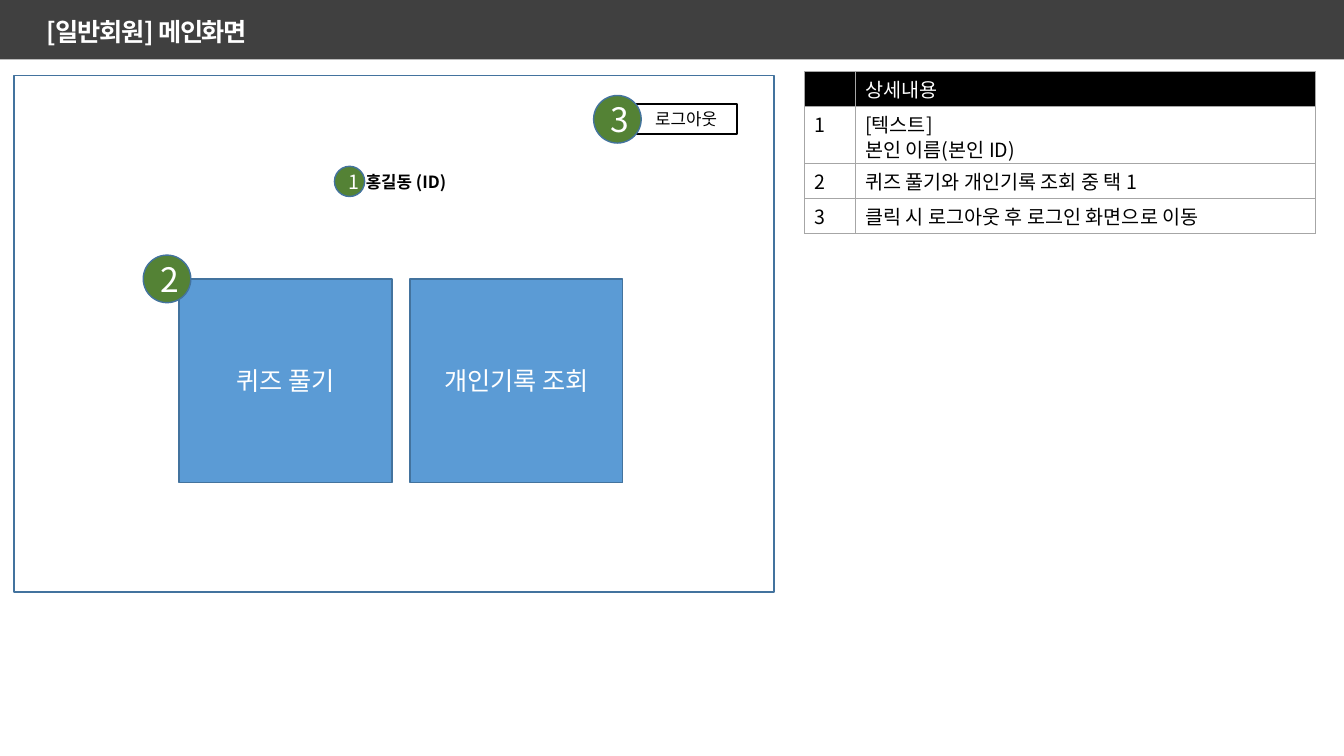
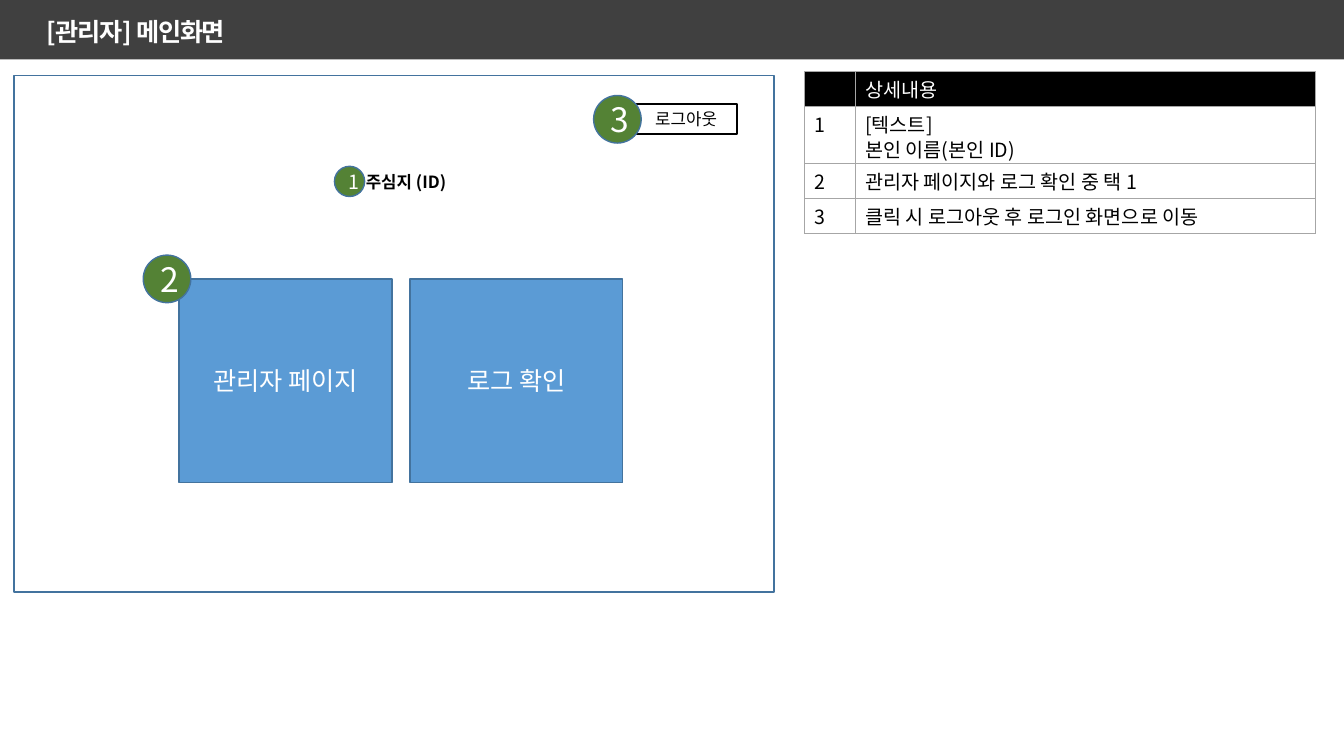
from lxml import etree
from pptx import Presentation
from pptx.dml.color import RGBColor
from pptx.enum.shapes import MSO_SHAPE
from pptx.enum.text import MSO_ANCHOR, MSO_AUTO_SIZE, PP_ALIGN
from pptx.oxml.ns import qn
from pptx.util import Pt

RECTANGLE, ELLIPSE = MSO_SHAPE.RECTANGLE, MSO_SHAPE.OVAL
LEFT, CENTER = PP_ALIGN.LEFT, PP_ALIGN.CENTER
TOP, MIDDLE = MSO_ANCHOR.TOP, MSO_ANCHOR.MIDDLE
NO_AUTOFIT = MSO_AUTO_SIZE.NONE

FONT = "Noto Sans CJK KR"
WHITE, BLACK, BAND = "FFFFFF", "000000", "404040"
BLUE, GREEN, OUTLINE, GRID = "5B9BD5", "548235", "43739E", "A6A6A6"

SCREENS = [
    {
        "title": "[일반회원] 메인화면",
        "user": "홍길동 (ID)",
        "menu": ["퀴즈 풀기", "개인기록 조회"],
        "choice": "퀴즈 풀기와 개인기록 조회 중 택 1",
    },
    {
        "title": "[관리자] 메인화면",
        "user": "주심지 (ID)",
        "menu": ["관리자 페이지", "로그 확인"],
        "choice": "관리자 페이지와 로그 확인 중 택 1",
    },
]
DETAIL_HEADING = "상세내용"
USER_DETAIL = ["[텍스트]", "본인 이름(본인 ID)"]
LOGOUT_DETAIL = "클릭 시 로그아웃 후 로그인 화면으로 이동"
LOGOUT = "로그아웃"

SLIDE_WIDTH, SLIDE_HEIGHT = 960, 540
BAND_BOX = (0, 0, SLIDE_WIDTH, 42.5)
TITLE_BOX = (25.9, 7.9, 312.5, 28.8)
SCREEN_BOX = (10, 54, 543, 369)
USER_BOX = (254.2, 118.8, 76.3, 21.6)
LOGOUT_BOX = (453.6, 74.2, 73, 21.6)
MENU_LEFT, MENU_TOP, MENU_WIDTH, MENU_HEIGHT, MENU_GAP = 128, 199.2, 152, 145.6, 12.9
BADGE, SMALL_BADGE = 34, 21.6
TABLE_LEFT, TABLE_TOP = 574.8, 51.1
COLUMN_WIDTHS = [36, 329]
ROW_HEIGHTS = [24.4, 40.6, 25.1, 25.1]


def color(value):
    return RGBColor.from_string(value)


def points(box):
    return [Pt(length) for length in box]


def write(frame, lines, size, ink, align=LEFT, anchor=MIDDLE, bold=False, spacing=None):
    """Fill a text frame or a table cell's text frame, one paragraph per line."""
    frame.vertical_anchor = anchor
    for index, line in enumerate(lines):
        para = frame.add_paragraph() if index else frame.paragraphs[0]
        para.alignment = align
        para.line_spacing = spacing
        span = para.add_run()
        span.text = line
        span.font.size = Pt(size)
        span.font.bold = bold
        span.font.name = FONT
        span.font.color.rgb = color(ink)
        east_asian = etree.SubElement(span.font._element, qn("a:ea"))
        east_asian.set("typeface", FONT)


def add_box(slide, kind, box, fill=None, line=None, lines=(), size=18, ink=WHITE):
    shape = slide.shapes.add_shape(kind, *points(box))
    shape.shadow.inherit = False
    if fill:
        shape.fill.solid()
        shape.fill.fore_color.rgb = color(fill)
    else:
        shape.fill.background()
    if line:
        shape.line.color.rgb = color(line)
        shape.line.width = Pt(1)
    else:
        shape.line.fill.background()
    write(shape.text_frame, lines, size, ink, CENTER)
    return shape


def add_badge(slide, number, left, top, diameter=BADGE, size=24):
    add_box(slide, ELLIPSE, (left, top, diameter, diameter), GREEN, OUTLINE, [number], size)


def put_band_on_layout(slide):
    """Move one header band to the layout, where every slide shows it."""
    layout = slide.slide_layout
    for holder in list(layout.placeholders)[1:]:
        holder.element.getparent().remove(holder.element)
    band = add_box(slide, RECTANGLE, BAND_BOX, BAND)
    layout.placeholders[0].element.addprevious(band.element)


def set_title(slide, text):
    title = slide.shapes.title
    title.left, title.top, title.width, title.height = points(TITLE_BOX)
    title.text_frame.auto_size = NO_AUTOFIT
    title.text_frame.word_wrap = True
    write(title.text_frame, [text], 18, WHITE, bold=True)
    title.text_frame.paragraphs[0].runs[0].font._element.set("spc", "-100")


def set_borders(cell, vertical, horizontal):
    properties = cell._tc.get_or_add_tcPr()
    sides = [("a:lnL", vertical), ("a:lnR", vertical), ("a:lnT", horizontal), ("a:lnB", horizontal)]
    for index, (side, width) in enumerate(sides):
        border = etree.Element(qn(side), w=str(Pt(width)))
        fill = etree.SubElement(border, qn("a:solidFill"))
        etree.SubElement(fill, qn("a:srgbClr"), val=GRID)
        properties.insert(index, border)


def add_details(slide, choice):
    details = [[DETAIL_HEADING], USER_DETAIL, [choice], [LOGOUT_DETAIL]]
    frame = slide.shapes.add_table(
        len(details), len(COLUMN_WIDTHS),
        *points((TABLE_LEFT, TABLE_TOP, sum(COLUMN_WIDTHS), sum(ROW_HEIGHTS))))
    table = frame.table
    table.first_row = table.horz_banding = False
    for column, width in zip(table.columns, COLUMN_WIDTHS):
        column.width = Pt(width)
    for row_index, (lines, height) in enumerate(zip(details, ROW_HEIGHTS)):
        table.rows[row_index].height = Pt(height)
        heading = row_index == 0
        number = "" if heading else str(row_index)
        for column_index, content in enumerate([[number], lines]):
            cell = table.cell(row_index, column_index)
            cell.fill.solid()
            cell.fill.fore_color.rgb = color(BLACK if heading else WHITE)
            cell.margin_top, cell.margin_bottom = Pt(4.6), 0
            write(cell.text_frame, content, 14, WHITE if heading else BLACK,
                  anchor=TOP, spacing=Pt(18))
            cell.vertical_anchor = TOP
            set_borders(cell, 0.5 if heading else 0.75, 0.5 if column_index else 0.75)


def add_screen(slide, user, menu):
    add_box(slide, RECTANGLE, SCREEN_BOX, line=OUTLINE)
    for index, label in enumerate(menu):
        left = MENU_LEFT + index * (MENU_WIDTH + MENU_GAP)
        add_box(slide, RECTANGLE, (left, MENU_TOP, MENU_WIDTH, MENU_HEIGHT), BLUE, OUTLINE, [label])
    add_badge(slide, "2", 102.3, MENU_TOP - BADGE / 2)
    user_box = slide.shapes.add_textbox(*points(USER_BOX))
    user_box.text_frame.word_wrap = False
    write(user_box.text_frame, [user], 12, BLACK, bold=True)
    add_badge(slide, "1", 238.9, USER_BOX[1], SMALL_BADGE, 14)
    add_box(slide, RECTANGLE, LOGOUT_BOX, WHITE, BLACK, [LOGOUT], 12, BLACK)
    add_badge(slide, "3", 424, 68.2)


def main():
    deck = Presentation()
    deck.slide_width, deck.slide_height = Pt(SLIDE_WIDTH), Pt(SLIDE_HEIGHT)
    title_only = deck.slide_layouts[5]
    for index, screen in enumerate(SCREENS):
        slide = deck.slides.add_slide(title_only)
        if index == 0:
            put_band_on_layout(slide)
        set_title(slide, screen["title"])
        add_details(slide, screen["choice"])
        add_screen(slide, screen["user"], screen["menu"])
    deck.save("out.pptx")


if __name__ == "__main__":
    main()
